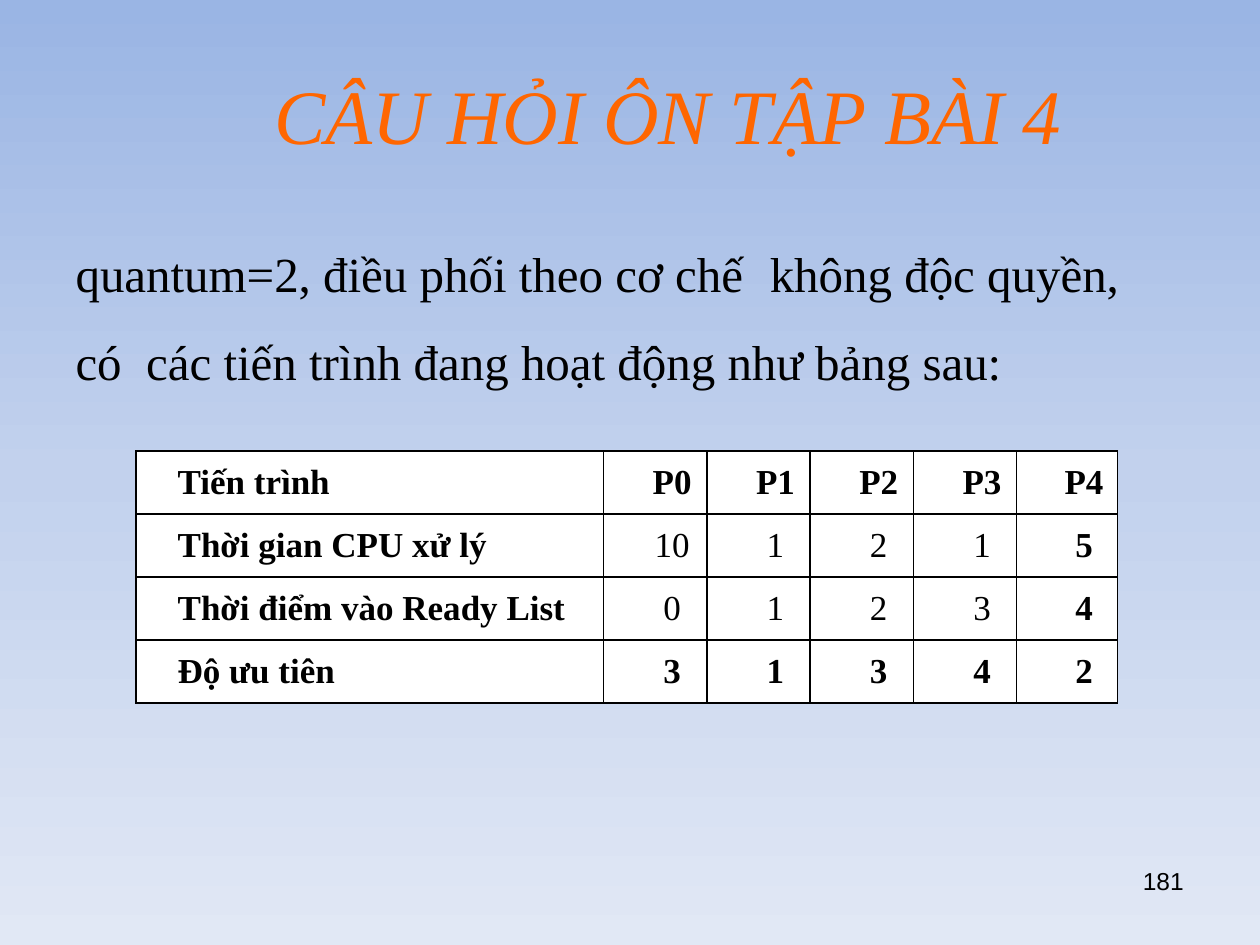
from copy import deepcopy
from dataclasses import dataclass

from lxml import etree
from pptx import Presentation
from pptx import util as u
from pptx.dml.color import RGBColor
from pptx.enum import text
from pptx.oxml.ns import qn


@dataclass(frozen=True)
class Theme:
    sky: tuple = ("9AB5E4", "C2D1ED", "E1E8F5")
    ink: str = "000000"
    accent: str = "FF6600"
    cell: str = "FFFFFF"
    serif: str = "Times New Roman"
    sans: str = "Arial"
    title: int = 44
    body: int = 28
    table: int = 20
    number: int = 14


T = Theme()
CENTER = text.PP_ALIGN.CENTER
ROWS = [
    ("Tiến trình", "P0", "P1", "P2", "P3", "P4"),
    ("Thời gian CPU xử lý", "10", "1", "2", "1", "5"),
    ("Thời điểm vào Ready List", "0", "1", "2", "3", "4"),
    ("Độ ưu tiên", "3", "1", "3", "4", "2"),
]
COLUMNS = (3.71, 0.82, 0.82, 0.82, 0.82, 0.8)


def write(tf, words, size, font=T.serif, color=T.ink, bold=False, italic=False,
          align=None, before=1, spacing=None, indent=0.01, tab=None):
    p = tf.paragraphs[0]
    p.text = words
    p.alignment = align
    p.space_before = u.Pt(before)
    p.line_spacing = spacing
    pPr = p._p.get_or_add_pPr()
    pPr.set("marL", str(u.Inches(indent)))
    if tab:
        tabs = etree.SubElement(pPr, qn("a:tabLst"))
        etree.SubElement(tabs, qn("a:tab"), pos=str(u.Inches(tab)), algn="l")
    for r in p.runs:
        r.font.name, r.font.size = font, u.Pt(size)
        r.font.bold, r.font.italic = bold, italic
        r.font.color.rgb = RGBColor.from_string(color)


def set_margins(target, top):
    target.margin_left = target.margin_right = target.margin_bottom = 0
    target.margin_top = u.Inches(top)


def add_text(s, box, words, size, anchor=text.MSO_ANCHOR.TOP, **fmt):
    tf = s.shapes.add_textbox(*map(u.Inches, box)).text_frame
    tf.word_wrap = True
    tf.vertical_anchor = anchor
    set_margins(tf, 0.01)
    write(tf, words, size, **fmt)


def paint_background(s):
    fill = s.background.fill
    fill.gradient()
    fill.gradient_angle = 270
    first = s.element.find(".//" + qn("a:gs"))
    first.addnext(deepcopy(first))
    for i, (stop, color) in enumerate(zip(fill.gradient_stops, T.sky)):
        stop.position = i / 2
        stop.color.rgb = RGBColor.from_string(color)


def add_borders(cell):
    tcPr = cell._tc.get_or_add_tcPr()
    for i, side in enumerate(("lnL", "lnR", "lnT", "lnB")):
        ln = etree.Element(qn("a:" + side), w=str(u.Pt(1)))
        fill = etree.SubElement(ln, qn("a:solidFill"))
        etree.SubElement(fill, qn("a:srgbClr"), val=T.ink)
        tcPr.insert(i, ln)


def add_process_table(s, box):
    table = s.shapes.add_table(len(ROWS), len(COLUMNS), *map(u.Inches, box)).table
    for column, width in zip(table.columns, COLUMNS):
        column.width = u.Inches(width)
    for i, row in enumerate(ROWS):
        for j, words in enumerate(row):
            cell = table.cell(i, j)
            set_margins(cell, 0.1)
            cell.fill.solid()
            cell.fill.fore_color.rgb = RGBColor.from_string(T.cell)
            add_borders(cell)
            write(cell.text_frame, words, T.table, before=7,
                  bold=i in (0, 3) or j in (0, 5),
                  align=CENTER if j else None, indent=0.27 if j else 0.33)


def main():
    prs = Presentation()
    prs.slide_width, prs.slide_height = u.Inches(10), u.Inches(7.5)
    s = prs.slides.add_slide(prs.slide_layouts[6])
    paint_background(s)
    add_text(s, (9.06, 6.86, 0.35, 0.26), "181", T.number, font=T.sans)
    add_text(s, (0.59, 1.69, 8.76, 1.43),
             "quantum=2, điều phối theo cơ chế\tkhông độc quyền,\n"
             "có  các tiến trình đang hoạt động như bảng sau:",
             T.body, spacing=1.5, tab=5.51)
    add_text(s, (2.01, 0.52, 6.58, 0.75), "CÂU HỎI ÔN TẬP BÀI 4", T.title,
             anchor=text.MSO_ANCHOR.MIDDLE, color=T.accent, italic=True, align=CENTER)
    add_process_table(s, (1.08, 3.58, sum(COLUMNS), 2))
    prs.save("out.pptx")


if __name__ == "__main__":
    main()
